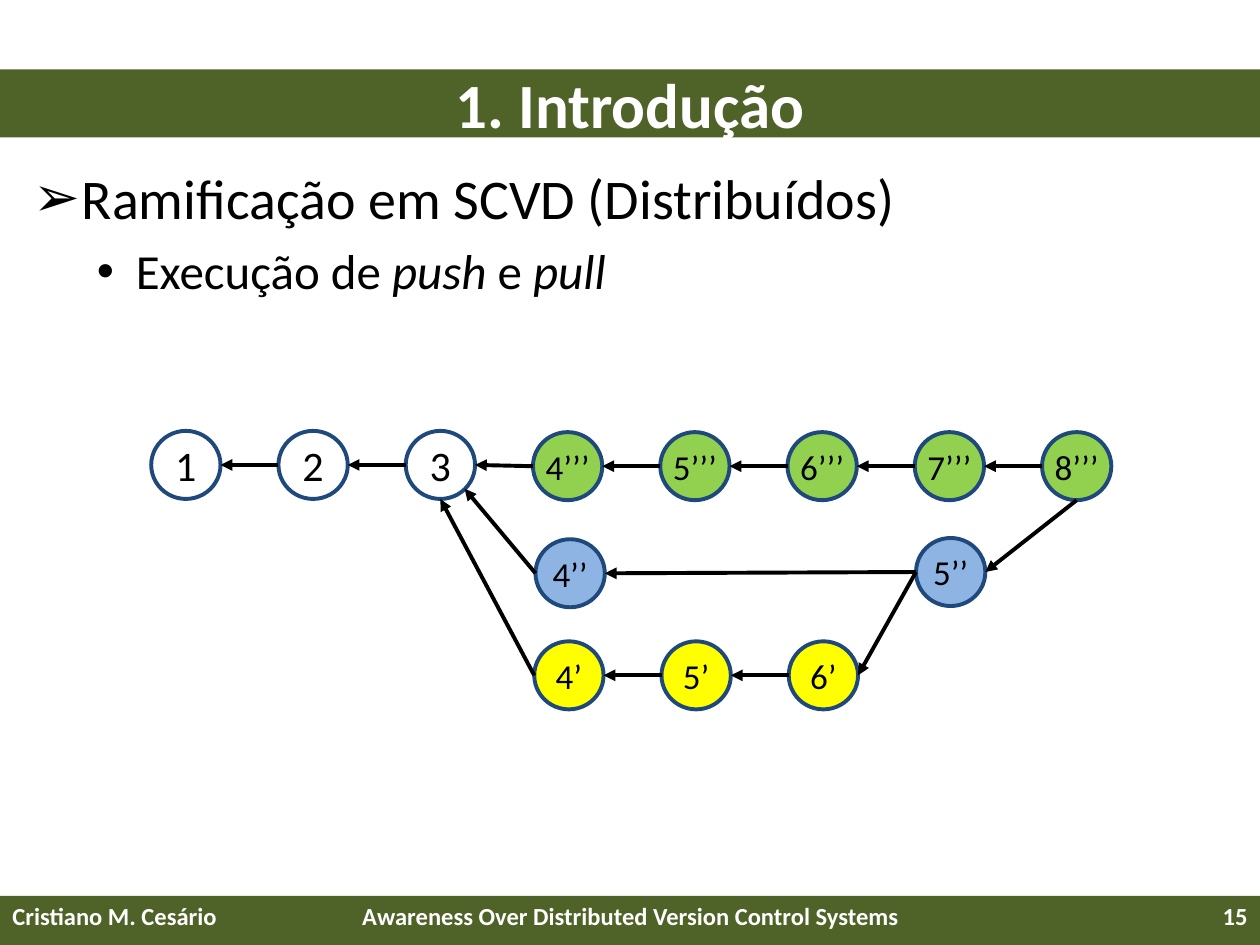
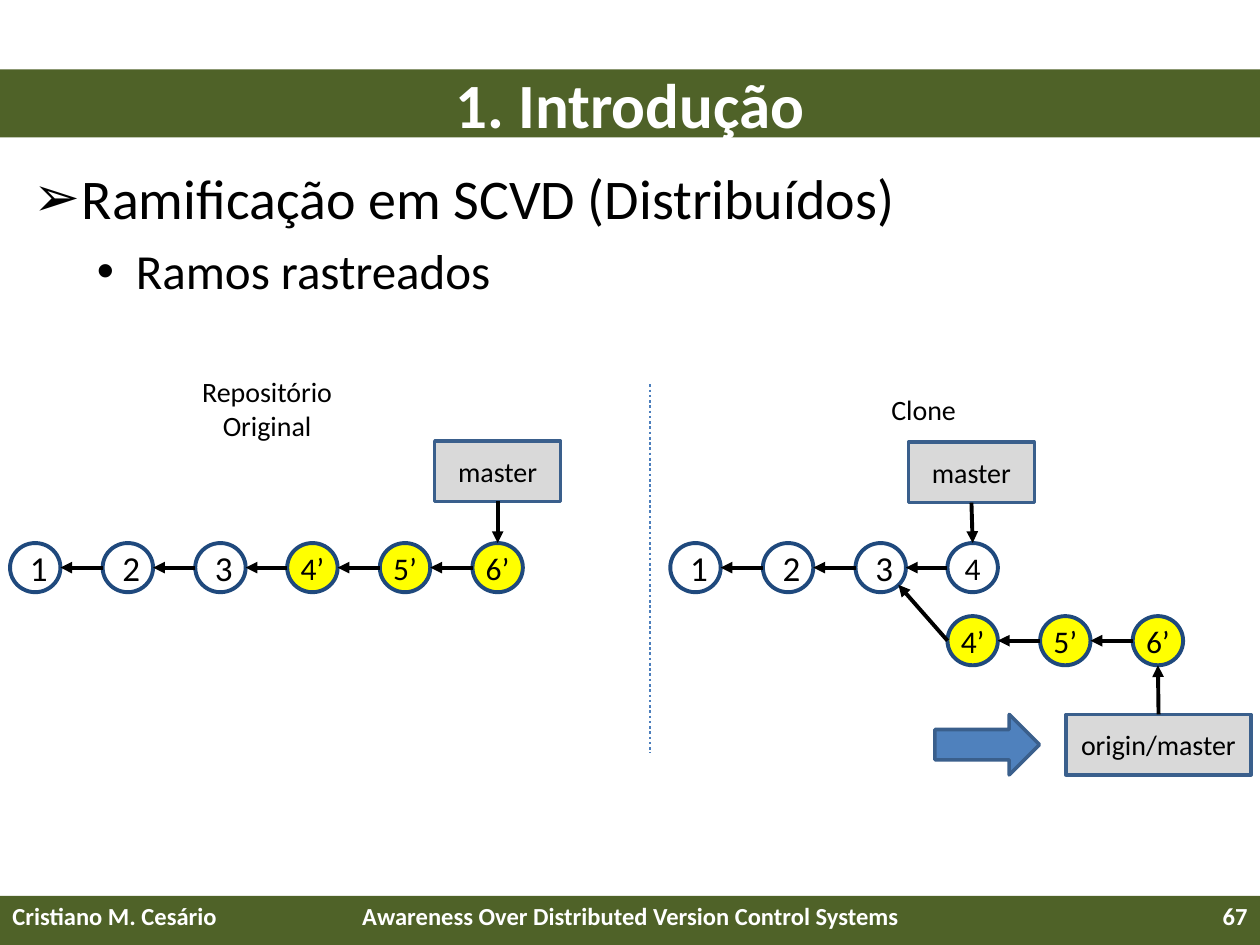
from lxml.etree import SubElement
from pptx import Presentation
from pptx.dml.color import RGBColor
from pptx.enum.dml import MSO_LINE_DASH_STYLE as Dash
from pptx.enum.shapes import MSO_CONNECTOR as Connector, MSO_SHAPE as Shape
from pptx.enum.text import MSO_ANCHOR as Anchor, PP_ALIGN as Align
from pptx.oxml.ns import qn
from pptx.util import Inches, Pt

BLACK = RGBColor(0x00, 0x00, 0x00)
WHITE = RGBColor(0xFF, 0xFF, 0xFF)
OLIVE = RGBColor(0x4F, 0x62, 0x28)
NAVY = RGBColor(0x1F, 0x49, 0x7D)
STEEL = RGBColor(0x3A, 0x5F, 0x8C)
BLUE = RGBColor(0x4F, 0x81, 0xBD)
DIVIDER = RGBColor(0x4B, 0x7E, 0xBC)
GREY = RGBColor(0xD9, 0xD9, 0xD9)
GREEN = RGBColor(0x92, 0xD0, 0x50)
SKY = RGBColor(0x8E, 0xB4, 0xE3)
YELLOW = RGBColor(0xFF, 0xFF, 0x00)

FONT = "Calibri"
TITLE = "1. Introdução"
TOPIC = "Ramificação em SCVD (Distribuídos)"
FOOTERS = [
    (0, 2.33, Align.LEFT, "Cristiano M. Cesário"),
    (2.42, 5.17, Align.CENTER, "Awareness Over Distributed Version Control Systems"),
]
BULLETS = [("➢", 0.38, -0.38, 32), ("•", 0.81, -0.31, 28)]
SIDES = {
    "top": (0.5, 0),
    "left": (0, 0.5),
    "bottom": (0.5, 1),
    "right": (1, 0.5),
    "corner": (0.85, 0.85),
}

PUSH_PULL = {
    "number": "15",
    "subtopic": [("Execução de ", False), ("push ", True), ("e ", False), ("pull", True)],
    "step": 1.01,
    "node_size": (0.55, 0.54),
    "trunk_font": 24,
    "branch_font": 20,
    "rows": [
        ("trunk", 1.2, 3.42, None, ["1", "2", "3"]),
        ("green", 4.23, 3.43, GREEN, ["4’’’", "5’’’", "6’’’", "7’’’", "8’’’"]),
        ("blue start", 4.25, 4.28, SKY, ["4’’"]),
        ("blue end", 7.27, 4.27, SKY, ["5’’"]),
        ("yellow", 4.24, 5.09, YELLOW, ["4’", "5’", "6’"]),
    ],
    "links": [
        ("green", 0, "left", "trunk", 2, "right"),
        ("blue start", 0, "left", "trunk", 2, "corner"),
        ("yellow", 0, "left", "trunk", 2, "bottom"),
        ("blue end", 0, "left", "blue start", 0, "right"),
        ("blue end", 0, "left", "yellow", 2, "right"),
        ("green", 4, "bottom", "blue end", 0, "right"),
    ],
}
TRACKED = {
    "number": "67",
    "subtopic": [("Ramos rastreados", False)],
    "step": 0.735,
    "node_size": (0.4, 0.39),
    "trunk_font": 20,
    "branch_font": 18,
    "rows": [
        ("source trunk", 0.08, 4.31, None, ["1", "2", "3"]),
        ("source yellow", 2.28, 4.31, YELLOW, ["4’", "5’", "6’"]),
        ("clone trunk", 5.32, 4.31, None, ["1", "2", "3"]),
        ("clone local", 7.52, 4.31, None, ["4"]),
        ("clone yellow", 7.52, 4.89, YELLOW, ["4’", "5’", "6’"]),
    ],
    "links": [
        ("source yellow", 0, "left", "source trunk", 2, "right"),
        ("clone local", 0, "left", "clone trunk", 2, "right"),
        ("clone yellow", 0, "left", "clone trunk", 2, "corner"),
    ],
}
REPOSITORIES = [(1.26, 3, "Repositório Original"), (6.47, 3.01, "Clone")]
BRANCH_LABELS = [
    ("master", 3.45, 3.5, 1, 2, "source yellow", 2, "top"),
    ("master", 7.21, 3.51, 1, 2, "clone local", 0, "top"),
    ("origin/master", 8.46, 5.67, 1.47, 0, "clone yellow", 2, "bottom"),
]


def assign(target, values):
    for name, value in values.items():
        setattr(target, name, value)


def add_span(para, text, size, color=BLACK, **values):
    span = para.add_run()
    span.text = text
    assign(span.font, {"name": FONT, "size": Pt(size), **values})
    span.font.color.rgb = color


def write(box, text, size, color=BLACK, align=Align.CENTER, anchor=Anchor.MIDDLE, **values):
    assign(box.text_frame, {"word_wrap": True, "vertical_anchor": anchor})
    para = box.text_frame.paragraphs[0]
    para.alignment = align
    add_span(para, text, size, color, **values)


def add_box(page, kind, place, fill=None, line=None, width=2.25):
    box = page.shapes.add_shape(kind, *map(Inches, place))
    box.shadow.inherit = False
    if fill is None:
        box.fill.background()
    else:
        box.fill.solid()
        box.fill.fore_color.rgb = fill
    if line is None:
        box.line.fill.background()
    else:
        box.line.color.rgb = line
        box.line.width = Pt(width)
    return box


def add_textbox(page, place):
    return page.shapes.add_textbox(*map(Inches, place))


def add_line(page, start, end, color=BLACK, width=2.25, dash=None):
    line = page.shapes.add_connector(Connector.STRAIGHT, *start, *end)
    line.line.color.rgb = color
    line.line.width = Pt(width)
    if dash is not None:
        line.line.dash_style = dash
    SubElement(line._element.spPr, qn("a:effectLst"))
    return line


def add_arrow(page, start, end):
    arrow = add_line(page, start, end)
    SubElement(arrow.line._get_or_add_ln(), qn("a:tailEnd"), type="triangle")
    return arrow


def side_point(node, side):
    across, down = SIDES[side]
    return int(node.left + node.width * across), int(node.top + node.height * down)


def add_bullet(para, symbol, margin, indent):
    properties = para._p.get_or_add_pPr()
    properties.set("marL", str(Inches(margin)))
    properties.set("indent", str(Inches(indent)))
    SubElement(properties, qn("a:buFont"), typeface="Arial")
    SubElement(properties, qn("a:buChar"), char=symbol)


def add_page(deck, content):
    page = deck.slides.add_slide(deck.slide_layouts[6])
    add_box(page, Shape.RECTANGLE, (0, 7.11, 10, 0.39), OLIVE)

    body = add_textbox(page, (0.17, 1.25, 9.67, 5.75))
    body.text_frame.word_wrap = True
    for index, spans in enumerate([[(TOPIC, False)], content["subtopic"]]):
        symbol, margin, indent, size = BULLETS[index]
        para = body.text_frame.add_paragraph() if index else body.text_frame.paragraphs[0]
        if index:
            para.level = index
            para.space_before = Pt(size * 0.2)
        add_bullet(para, symbol, margin, indent)
        for text, italic in spans:
            add_span(para, text, size, italic=italic)

    for left, width, align, text in FOOTERS + [(7.67, 2.33, Align.RIGHT, content["number"])]:
        footer = add_textbox(page, (left, 7.1, width, 0.4))
        write(footer, text, 14, WHITE, align, Anchor.TOP, bold=True)

    title = add_box(page, Shape.RECTANGLE, (0, 0.55, 10, 0.54), OLIVE)
    write(title, TITLE, 36, WHITE, bold=True)
    return page


def add_history(page, content):
    rows = {}
    for name, left, top, fill, labels in content["rows"]:
        nodes = rows[name] = []
        is_trunk = name.endswith("trunk")
        for column, label in enumerate(labels):
            place = (left + column * content["step"], top, *content["node_size"])
            node = add_box(page, Shape.OVAL, place, fill, NAVY)
            if not is_trunk:
                assign(node.text_frame, {"margin_left": 0, "margin_right": 0})
            write(node, label, content["trunk_font" if is_trunk else "branch_font"])
            nodes.append(node)
        for parent, child in zip(nodes, nodes[1:]):
            add_arrow(page, side_point(child, "left"), side_point(parent, "right"))
    for child, column, side, parent, parent_column, parent_side in content["links"]:
        add_arrow(
            page,
            side_point(rows[child][column], side),
            side_point(rows[parent][parent_column], parent_side),
        )
    return rows


def add_tracking(page, rows):
    for left, top, text in REPOSITORIES:
        write(add_textbox(page, (left, top, 1.72, 0.48)), text, 16)
    for text, left, top, width, site, row, column, side in BRANCH_LABELS:
        label = add_box(page, Shape.RECTANGLE, (left, top, width, 0.48), GREY, STEEL, 2)
        write(label, text, 16)
        target = side_point(rows[row][column], side)
        add_arrow(page, target, target).begin_connect(label, site)
    divider = [(Inches(5.16), Inches(y)) for y in (3.05, 5.98)]
    add_line(page, *divider, DIVIDER, 1.5, Dash.ROUND_DOT)
    add_box(page, Shape.RIGHT_ARROW, (7.42, 5.67, 0.83, 0.48), BLUE, STEEL, 2)


def main():
    deck = Presentation()
    deck.slide_width, deck.slide_height = Inches(10), Inches(7.5)
    add_history(add_page(deck, PUSH_PULL), PUSH_PULL)
    tracked_page = add_page(deck, TRACKED)
    add_tracking(tracked_page, add_history(tracked_page, TRACKED))
    deck.save("out.pptx")


if __name__ == "__main__":
    main()
